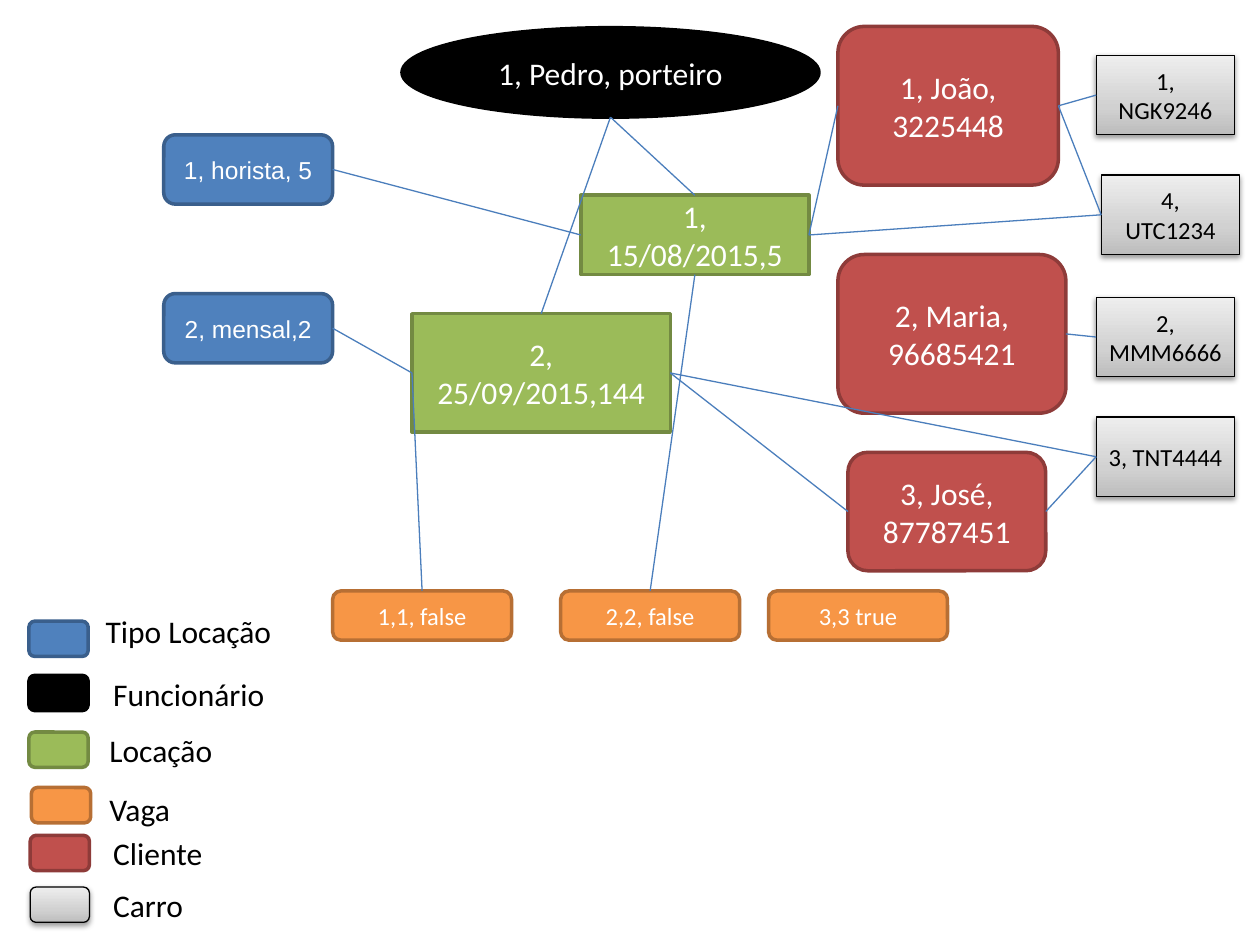
"""Build the object diagram of a parking rental system."""
import pptx
import pptx.util
import pptx.dml.color
import pptx.enum.shapes
import pptx.enum.text
import pptx.oxml
from pptx.oxml.ns import qn

Inches, Pt = pptx.util.Inches, pptx.util.Pt
SHAPE = pptx.enum.shapes.MSO_SHAPE
ALIGN = pptx.enum.text.PP_ALIGN
ANCHOR = pptx.enum.text.MSO_ANCHOR
NS = 'xmlns:a="http://schemas.openxmlformats.org/drawingml/2006/main"'
TOP, LEFT, BOTTOM, RIGHT = range(4)
SITES = {TOP: (0.5, 0), LEFT: (0, 0.5), BOTTOM: (0.5, 1), RIGHT: (1, 0.5)}
GREY_STOPS = ((0, "BDBDBD"), (35, "D1D1D1"), (100, "EEEEEE"))

KINDS = {
    "tipo": dict(shape=SHAPE.ROUNDED_RECTANGLE, fill="4F81BD", line="3A5F8C", size=14, font="Arial"),
    "funcionario": dict(shape=SHAPE.OVAL, fill="000000", line="000000"),
    "locacao": dict(shape=SHAPE.RECTANGLE, fill="9BBB59", line="738A42"),
    "vaga": dict(shape=SHAPE.ROUNDED_RECTANGLE, fill="F79646", line="B76F34", size=14),
    "cliente": dict(shape=SHAPE.ROUNDED_RECTANGLE, fill="C0504D", line="8E3B39"),
    "carro": dict(shape=SHAPE.RECTANGLE, fill=None, line="000000", width=0.75, size=14, color="000000"),
}

NODES = {
    "horista": ("tipo", "1, horista, 5", (1.3, 1.07, 1.34, 0.55)),
    "mensal": ("tipo", "2, mensal,2", (1.3, 2.33, 1.34, 0.55)),
    "pedro": ("funcionario", "1, Pedro, porteiro", (3.19, 0.22, 3.31, 0.71)),
    "locacao1": ("locacao", "1, 15/08/2015,5", (4.61, 1.55, 1.81, 0.63)),
    "locacao2": ("locacao", "2, 25/09/2015,144", (3.27, 2.49, 2.05, 0.94)),
    "vaga1": ("vaga", "1,1, false", (2.64, 4.69, 1.42, 0.39)),
    "vaga2": ("vaga", "2,2, false", (4.45, 4.69, 1.42, 0.39)),
    "vaga3": ("vaga", "3,3 true", (6.1, 4.69, 1.42, 0.39)),
    "joao": ("cliente", "1, João, 3225448", (6.65, 0.21, 1.75, 1.26)),
    "maria": ("cliente", "2, Maria, 96685421", (6.65, 2.02, 1.81, 1.26)),
    "jose": ("cliente", "3, José, 87787451", (6.73, 3.59, 1.57, 0.94)),
    "carro1": ("carro", "1, NGK9246", (8.7, 0.44, 1.1, 0.63)),
    "carro4": ("carro", "4, UTC1234", (8.74, 1.39, 1.1, 0.63)),
    "carro2": ("carro", "2, MMM6666", (8.7, 2.36, 1.1, 0.63)),
    "carro3": ("carro", "3, TNT4444", (8.7, 3.31, 1.1, 0.63)),
}

LINKS = (
    ("pedro", BOTTOM, "locacao1", TOP),
    ("locacao1", LEFT, "horista", RIGHT),
    ("locacao1", RIGHT, "joao", LEFT),
    ("joao", RIGHT, "carro1", LEFT),
    ("joao", RIGHT, "carro4", LEFT),
    ("locacao1", BOTTOM, "vaga2", TOP),
    ("maria", RIGHT, "carro2", LEFT),
    ("jose", RIGHT, "carro3", LEFT),
    ("jose", LEFT, "locacao2", RIGHT),
    ("locacao2", LEFT, "mensal", RIGHT),
    ("locacao2", LEFT, "vaga1", TOP),
    ("pedro", BOTTOM, "locacao2", TOP),
    ("carro4", LEFT, "locacao1", RIGHT),
    ("carro3", LEFT, "locacao2", RIGHT),
)

LEGEND = (
    ("tipo", "Tipo Locação", (0, 0.12), (0.51, 0, 1.53)),
    ("funcionario", "Funcionário", (0, 0.55), (0.57, 0.5, 1.42)),
    ("locacao", "Locação", (0, 1), (0.54, 0.94, 1.03)),
    ("vaga", "Vaga", (0.02, 1.44), (0.54, 1.41, 0.69)),
    ("cliente", "Cliente", (0.01, 1.82), (0.57, 1.76, 0.92)),
    ("carro", "Carro", (0.01, 2.23), (0.57, 2.17, 0.76)),
)


def rgb(value):
    """Return the colour for a hex string."""
    return pptx.dml.color.RGBColor.from_string(value)


def write(sp, text, size, font, color, **frame):
    """Fill a shape with one formatted run."""
    tf = sp.text_frame
    for name, value in frame.items():
        setattr(tf, name, value)
    r = tf.paragraphs[0].add_run()
    r.text = text
    for name, value in dict(size=Pt(size), name=font).items():
        setattr(r.font, name, value)
    r.font.color.rgb = rgb(color)


def shade_grey(sp):
    """Give a shape the grey gradient and soft shadow of a car."""
    sp.fill.gradient()
    sp.fill.gradient_angle = 90
    spPr = sp._element.spPr
    stops = "".join(f'<a:gs pos="{pos * 1000}"><a:srgbClr val="{color}"/></a:gs>' for pos, color in GREY_STOPS)
    grad = spPr.find(qn("a:gradFill"))
    grad.replace(grad.find(qn("a:gsLst")), pptx.oxml.parse_xml(f"<a:gsLst {NS}>{stops}</a:gsLst>"))
    spPr.find(qn("a:effectLst")).append(pptx.oxml.parse_xml(
        f'<a:outerShdw {NS} blurRad="40000" dist="20000" dir="5400000" rotWithShape="0">'
        '<a:srgbClr val="000000"><a:alpha val="38000"/></a:srgbClr></a:outerShdw>'))


def add_box(s, kind, box, shape=None):
    """Add a shape in the style of its kind."""
    style = KINDS[kind]
    sp = s.shapes.add_shape(shape or style["shape"], *map(Inches, box))
    sp.line.color.rgb = rgb(style["line"])
    sp.line.width = Pt(style.get("width", 2))
    sp.shadow.inherit = False
    if style["fill"]:
        sp.fill.solid()
        sp.fill.fore_color.rgb = rgb(style["fill"])
    else:
        shade_grey(sp)
    return sp


def add_node(s, kind, text, box):
    """Add one labelled object of the diagram."""
    style = KINDS[kind]
    sp = add_box(s, kind, box)
    write(sp, text, style.get("size", 18), style.get("font", "Calibri"), style.get("color", "FFFFFF"),
          word_wrap=True, vertical_anchor=ANCHOR.MIDDLE)
    sp.text_frame.paragraphs[0].alignment = ALIGN.CENTER
    return sp


def site_point(sp, site):
    """Return the point of a connection site."""
    fx, fy = SITES[site]
    return int(sp.left + fx * sp.width), int(sp.top + fy * sp.height)


def add_link(s, start, start_site, end, end_site):
    """Join two objects with a thin straight line."""
    line = s.shapes.add_connector(pptx.enum.shapes.MSO_CONNECTOR.STRAIGHT,
                                  *site_point(start, start_site), *site_point(end, end_site))
    if start.auto_shape_type != SHAPE.OVAL:
        line.begin_connect(start, start_site)
    line.end_connect(end, end_site)
    line.line.color.rgb = rgb("4B7EBC")
    line.line.width = Pt(0.75)
    line._element.spPr.append(pptx.oxml.parse_xml(f"<a:effectLst {NS}/>"))


def add_legend(s, x, y):
    """Add the colour key from its top left corner."""
    for kind, text, (kx, ky), (tx, ty, width) in LEGEND:
        add_box(s, kind, (x + kx, y + ky, 0.47, 0.28), SHAPE.ROUNDED_RECTANGLE)
        label = s.shapes.add_textbox(*map(Inches, (x + tx, y + ty, width, 0.4)))
        write(label, text, 18, "Calibri", "000000", word_wrap=False,
              auto_size=pptx.enum.text.MSO_AUTO_SIZE.SHAPE_TO_FIT_TEXT)


def add_diagram(s):
    """Add all objects and the links between them."""
    nodes = {name: add_node(s, *node) for name, node in NODES.items()}
    for start, start_site, end, end_site in LINKS:
        add_link(s, nodes[start], start_site, nodes[end], end_site)


prs = pptx.Presentation()
prs.slide_width, prs.slide_height = Inches(10), Inches(7.5)
s = prs.slides.add_slide(prs.slide_layouts[6])
add_legend(s, 0.23, 4.81)
add_diagram(s)
prs.save("out.pptx")
